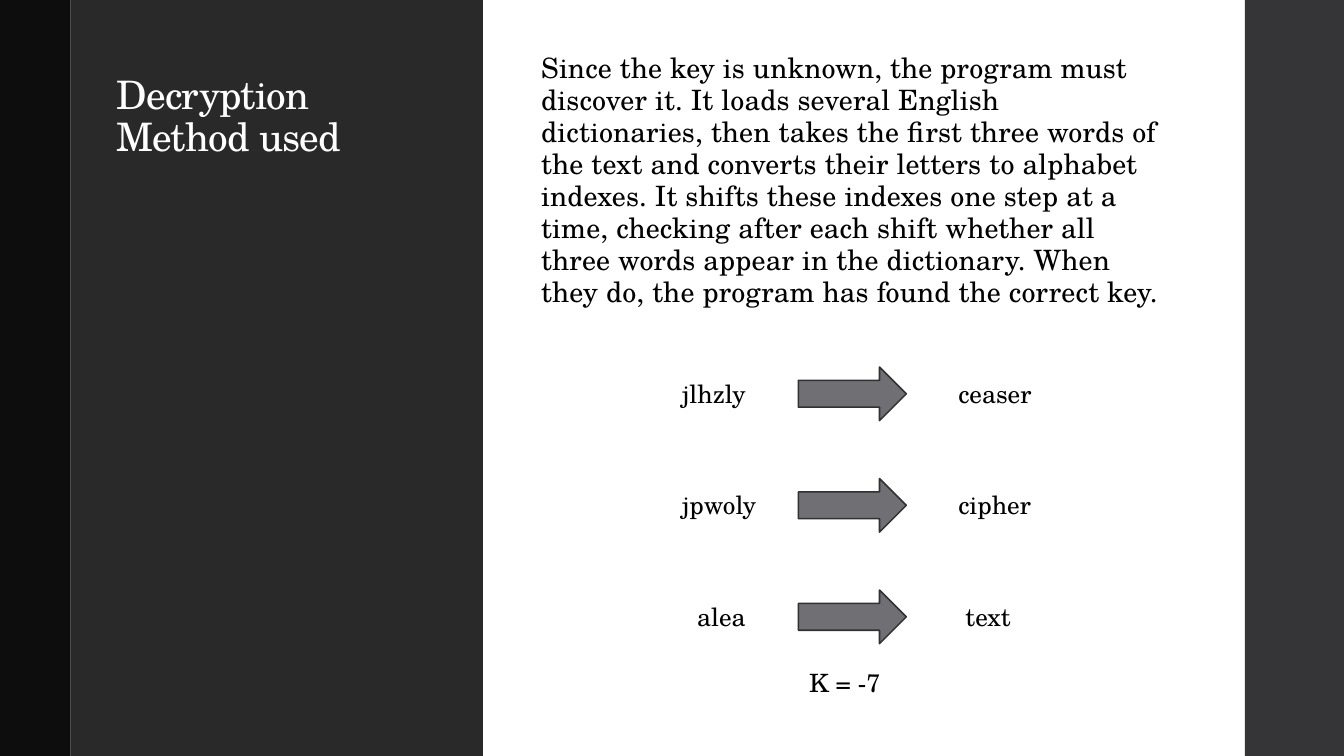
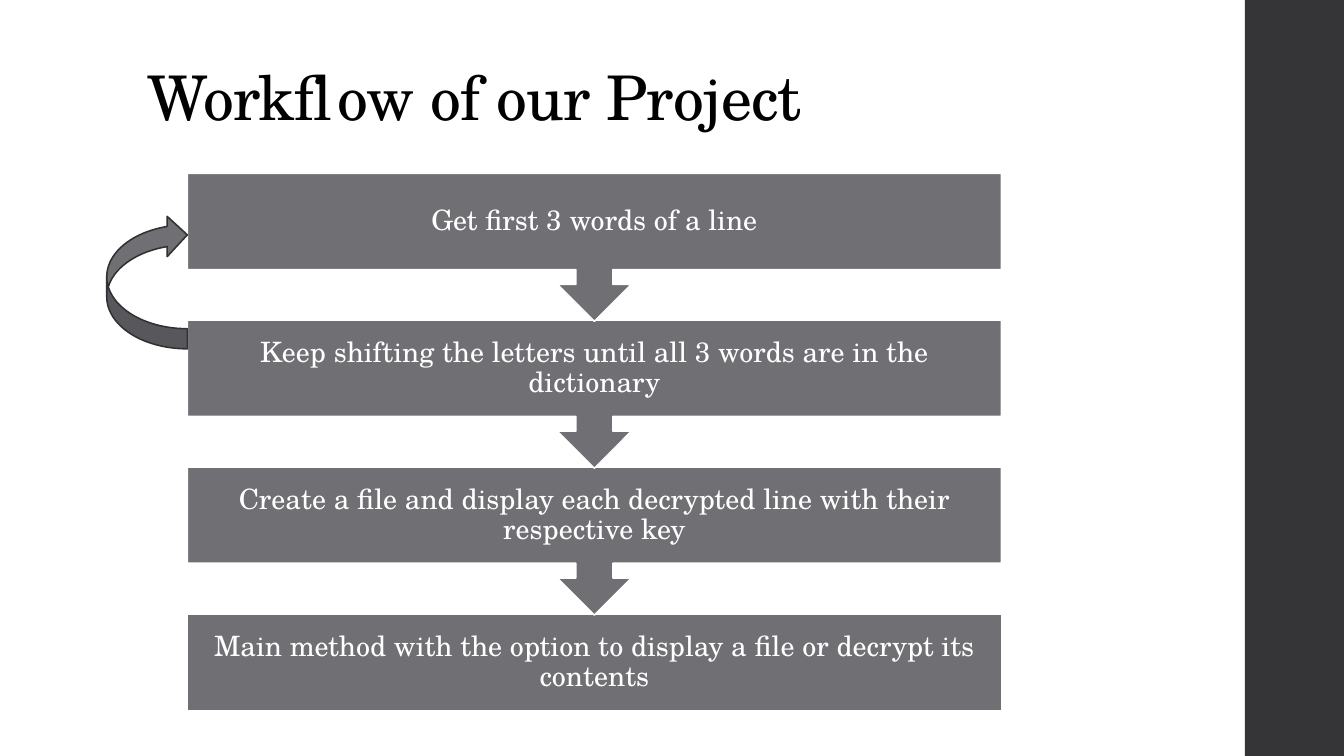
from pptx import Presentation
from pptx.dml.color import RGBColor
from pptx.enum.shapes import MSO_SHAPE
from pptx.enum.text import MSO_ANCHOR, MSO_AUTO_SIZE, PP_ALIGN
from pptx.util import Cm, Pt

RECT = MSO_SHAPE.RECTANGLE
RIGHT_ARROW = MSO_SHAPE.RIGHT_ARROW
CALLOUT = MSO_SHAPE.DOWN_ARROW_CALLOUT
LOOP_ARROW = MSO_SHAPE.CURVED_LEFT_ARROW
TOP, MIDDLE, BOTTOM = MSO_ANCHOR.TOP, MSO_ANCHOR.MIDDLE, MSO_ANCHOR.BOTTOM
CENTER = PP_ALIGN.CENTER
FIT = MSO_AUTO_SIZE.SHAPE_TO_FIT_TEXT

WIDTH, HEIGHT = 33.87, 19.05
BAND_LEFT = 31.37

METHOD = (
    "Since the key is unknown, the program must discover it. "
    "It loads several English dictionaries, then takes the first three words "
    "of the text and converts their letters to alphabet indexes. "
    "It shifts these indexes one step at a time, checking after each shift "
    "whether all three words appear in the dictionary. "
    "When they do, the program has found the correct key."
)
WORD_PAIRS = [
    (("jlhzly", 16.94, 2.16), ("ceaser", 23.9, 2.39)),
    (("jpwoly", 16.94, 2.44), ("cipher", 23.9, 2.36)),
    (("alea", 17.32, 1.75), ("text", 24.08, 1.68)),
]
STEPS = [
    "Get first 3 words of a line",
    "Keep shifting the letters until all 3 words are in the dictionary",
    "Create a file and display each decrypted line with their respective key",
    "Main method with the option to display a file or decrypt its contents",
]


def rgb(color):
    return RGBColor.from_string(color)


class Deck:
    """Hold the shared style and the slide being built."""

    FONT = "TeX Gyre Schola"
    BLACK, WHITE = "000000", "FFFFFF"
    EDGE, PANEL, BAND = "0D0D0D", "292929", "353537"
    GRAY, OUTLINE = "6F6F74", "313133"

    def __init__(self):
        self.prs = Presentation()
        self.prs.slide_width, self.prs.slide_height = Cm(WIDTH), Cm(HEIGHT)
        self.s = None

    def slide(self):
        self.s = self.prs.slides.add_slide(self.prs.slide_layouts[6])
        self.band(BAND_LEFT, WIDTH - BAND_LEFT, self.BAND)

    def shape(self, kind, x, y, w, h, fill, line=None):
        sp = self.s.shapes.add_shape(kind, Cm(x), Cm(y), Cm(w), Cm(h))
        sp.shadow.inherit = False
        sp.fill.solid()
        sp.fill.fore_color.rgb = rgb(fill)
        if line:
            sp.line.color.rgb = rgb(line)
            sp.line.width = Pt(1.1)
        else:
            sp.line.fill.background()
        return sp

    def band(self, x, w, fill):
        self.shape(RECT, x, 0, w, HEIGHT, fill)

    def arrow(self, kind, x, y, w, h):
        return self.shape(kind, x, y, w, h, self.GRAY, self.OUTLINE)

    def text(self, tf, text, size, color, spacing=0):
        p = tf.paragraphs[0]
        r = p.add_run()
        r.text = text
        r.font.name, r.font.size = self.FONT, Pt(size)
        r.font.color.rgb = rgb(color)
        if spacing:
            r.font._element.set("spc", str(round(spacing * 100)))
        return p

    def box(self, x, y, w, h, anchor=TOP, wrap=True):
        tf = self.s.shapes.add_textbox(Cm(x), Cm(y), Cm(w), Cm(h)).text_frame
        tf.word_wrap, tf.vertical_anchor = wrap, anchor
        return tf

    def title(self, text, x, y, w, h, size, color, anchor=TOP):
        tf = self.box(x, y, w, h, anchor)
        self.text(tf, text, size, color, -0.5).line_spacing = 0.9

    def body(self, text, x, y, w, h):
        p = self.text(self.box(x, y, w, h), text, 20, self.BLACK, 0.1)
        p.line_spacing = 0.95
        p.space_before, p.space_after = Pt(14), Pt(2)

    def label(self, text, x, y, w):
        tf = self.box(x, y, w, 1.02, wrap=False)
        tf.auto_size = FIT
        self.text(tf, text, 18, self.BLACK)

    def step(self, kind, text, x, y, w, h):
        tf = self.shape(kind, x, y, w, h, self.GRAY, self.WHITE).text_frame
        tf.word_wrap, tf.vertical_anchor = True, MIDDLE
        tf.margin_left = tf.margin_right = Cm(0.4)
        tf.margin_top = tf.margin_bottom = Cm(0.4)
        p = self.text(tf, text, 20, self.WHITE)
        p.alignment, p.line_spacing, p.space_after = CENTER, 0.9, Pt(7)


def decryption_slide(deck):
    deck.slide()
    deck.band(0, 1.78, deck.EDGE)
    deck.band(1.78, 10.39, deck.PANEL)
    deck.title("Decryption Method used", 2.69, 1.78, 8.59, 15.37, 28, deck.WHITE)
    deck.body(METHOD, 13.39, 1.22, 16.18, 15.47)
    for row, (cipher, plain) in enumerate(WORD_PAIRS):
        y = 9.25 + row * 2.81
        deck.arrow(RIGHT_ARROW, 20.12, y, 2.72, 1.35)
        for text, x, w in (cipher, plain):
            deck.label(text, x, y + 0.15, w)
    deck.label("K = -7", 20.14, 16.69, 2.34)


def workflow_slide(deck):
    deck.slide()
    deck.title("Workflow of our Project", 3.48, -0.18, 26.92, 3.68, 44,
               deck.BLACK, BOTTOM)
    last = len(STEPS) - 1
    for i in range(last, -1, -1):
        kind, h = (RECT, 2.44) if i == last else (CALLOUT, 3.73)
        deck.step(kind, STEPS[i], 4.72, 4.37 + i * 3.7, 20.52, h)
    deck.arrow(LOOP_ARROW, 2.69, 5.41, 2.03, 3.38).rotation = 180


def main():
    deck = Deck()
    decryption_slide(deck)
    workflow_slide(deck)
    deck.prs.save("out.pptx")


if __name__ == "__main__":
    main()
